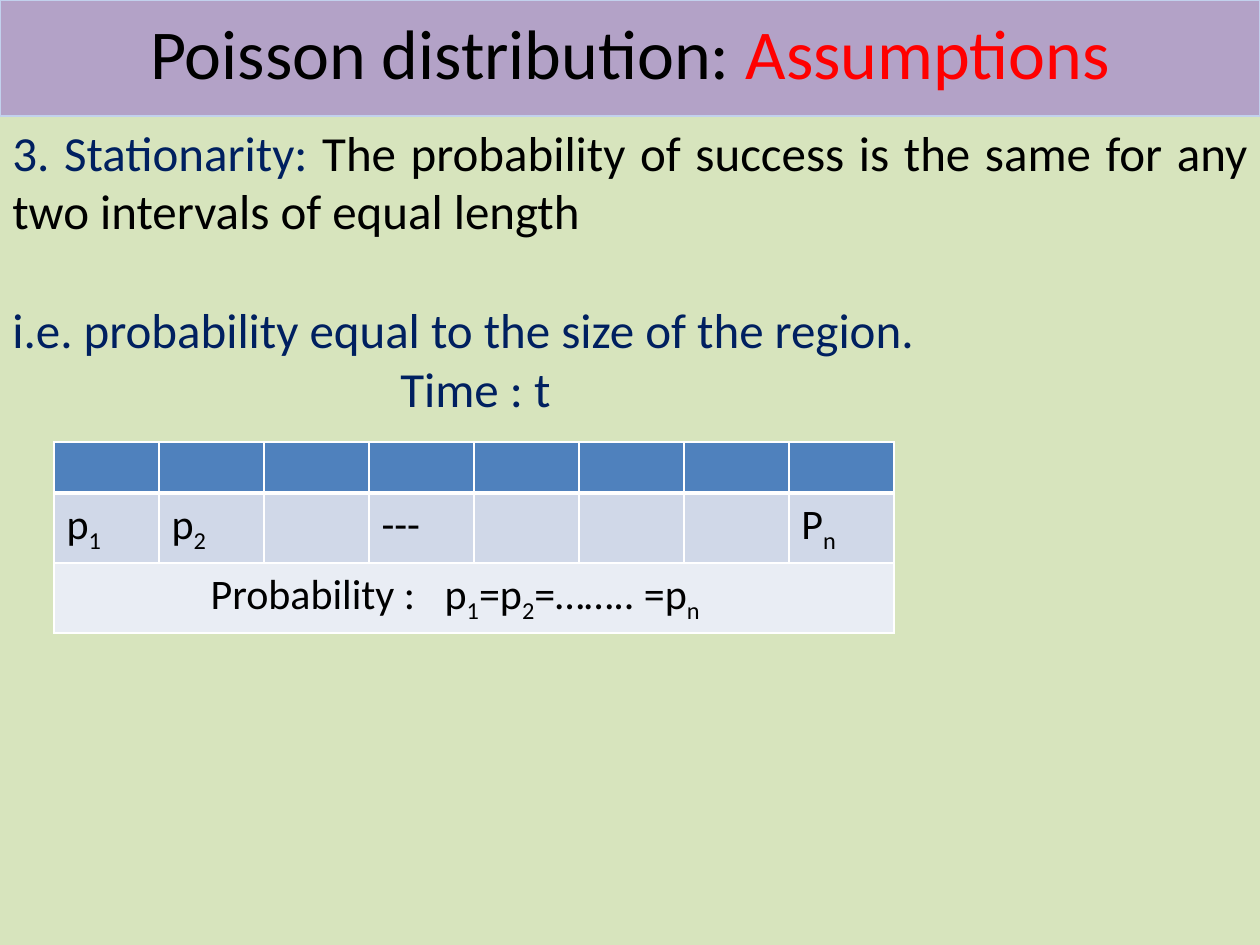
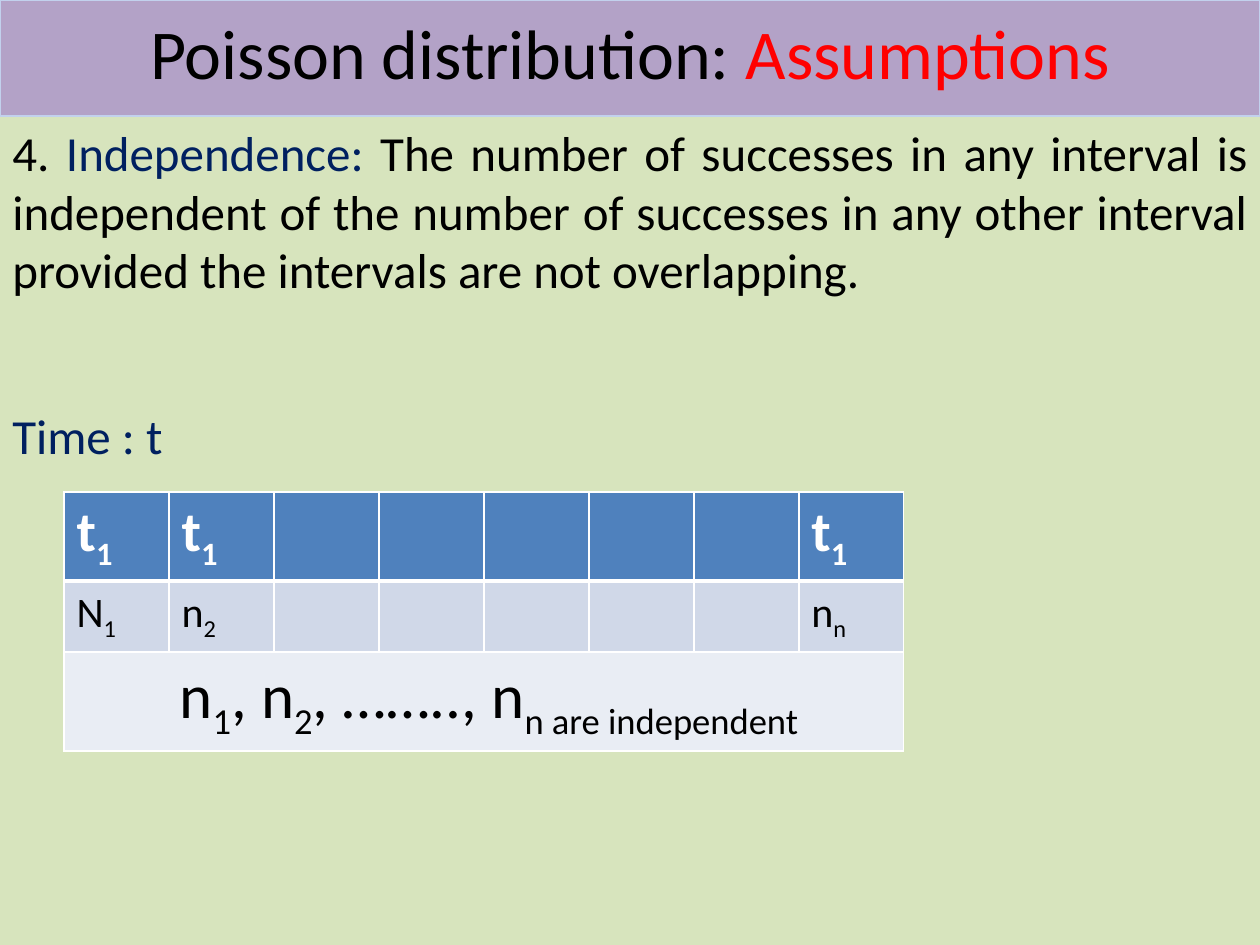
from lxml import etree
from pptx import Presentation
from pptx.dml.color import RGBColor
from pptx.enum.text import MSO_ANCHOR, MSO_AUTO_SIZE, PP_ALIGN
from pptx.oxml.ns import qn
from pptx.util import Emu, Pt

LEFT, CENTER, JUSTIFY = PP_ALIGN.LEFT, PP_ALIGN.CENTER, PP_ALIGN.JUSTIFY
MIDDLE, NO_AUTOFIT = MSO_ANCHOR.MIDDLE, MSO_AUTO_SIZE.NONE

FONT = "Calibri"
COLORS = {
    "page": "D7E4BD", "band": "B3A2C7", "band_line": "C2D1ED",
    "black": "000000", "red": "FF0000", "navy": "002060", "white": "FFFFFF",
    "header": "4F81BD", "values": "D0D8E8", "summary": "E9EDF4",
}
SLIDE_W, SLIDE_H, BAND_H = 1260, 945, 116
COLUMN_W, COLUMN_COUNT = 105, 8
BODY_SIZE, TITLE_SIZE, VALUE_SIZE = 28, 40, 24

TITLE = [("Poisson distribution:", "black"), (" Assumptions", "red")]

# Cell and summary texts alternate between base and subscript pieces.
SLIDES = [
    {
        "body_height": 577,
        "paragraphs": [
            {"runs": [("3. Stationarity: ", "navy"),
                      ("The probability of success is the same for any "
                       "two intervals of equal length", "black")]},
            {"runs": [("i.e. probability equal to the size of the region.", "navy")],
             "before": 34},
            {"runs": [("Time : t", "navy")], "margin": 388},
        ],
        "table_at": (54, 442),
        "row_heights": (51, 70, 70),
        "header": {},
        "values": {0: ["p", "1"], 1: ["p", "2"], 3: ["---"], 7: ["P", "n"]},
        "summary": {"pieces": ["Probability :\tp", "1", "=p", "2", "=…….. =p", "n"],
                    "size": 24, "align": LEFT, "indent": 144, "tab": 425},
    },
    {
        "body_height": 726,
        "paragraphs": [
            {"runs": [("4. ", "black"), ("Independence: ", "navy"),
                      ("The number of successes in any interval is independent of "
                       "the number of successes in any other interval provided the "
                       "intervals are not overlapping.", "black")]},
            {"runs": [("Time : t", "navy")], "before": 61},
        ],
        "table_at": (64, 492),
        "row_heights": (88, 71, 99),
        "header": {0: ["t", "1"], 1: ["t", "1"], 7: ["t", "1"]},
        "values": {0: ["N", "1"], 1: ["n", "2"], 7: ["n", "n"]},
        "summary": {"pieces": ["n", "1", ", n", "2", ", …….., n", "n are independent"],
                    "size": 36, "align": CENTER, "indent": 10, "tab": None},
    },
]


def px(length):
    return Emu(round(length * 914400 / 126))


def rgb(name):
    return RGBColor.from_string(COLORS[name])


def add_run(paragraph, text, size, color, bold=False):
    run = paragraph.add_run()
    run.text = text
    font = run.font
    font.name, font.size, font.bold = FONT, Pt(size), bold
    font.color.rgb = rgb(color)
    return run


def add_pieces(paragraph, pieces, size, color, bold=False):
    """Write pieces in turn, every second one as a subscript."""
    for index, piece in enumerate(pieces):
        run = add_run(paragraph, piece, size, color, bold)
        if index % 2:
            run._r.get_or_add_rPr().set("baseline", "-25000")


def set_indent(paragraph, margin=0, first_line=0, tab=None):
    properties = paragraph._p.get_or_add_pPr()
    properties.set("marL", str(px(margin)))
    properties.set("indent", str(px(first_line)))
    if tab:
        tab_list = etree.SubElement(properties, qn("a:tabLst"))
        etree.SubElement(tab_list, qn("a:tab"), pos=str(px(tab)), algn="l")


def format_cell(cell, row, fill):
    """Give white borders, thick between header and values, and a fill."""
    properties = cell._tc.get_or_add_tcPr()
    thick_side = {0: "lnB", 1: "lnT"}.get(row)
    for side in ("lnL", "lnR", "lnT", "lnB"):
        width = Pt(3 if side == thick_side else 1)
        line = etree.SubElement(properties, qn("a:" + side), w=str(width))
        solid = etree.SubElement(line, qn("a:solidFill"))
        etree.SubElement(solid, qn("a:srgbClr"), val=COLORS["white"])
    cell.fill.solid()
    cell.fill.fore_color.rgb = rgb(fill)


def add_title(slide):
    band = slide.shapes.title
    band.left, band.top, band.width, band.height = 0, 0, px(SLIDE_W), px(BAND_H)
    band.fill.solid()
    band.fill.fore_color.rgb = rgb("band")
    band.line.color.rgb = rgb("band_line")
    band.line.width = Pt(0.75)
    frame = band.text_frame
    frame.auto_size = NO_AUTOFIT
    frame.vertical_anchor = MIDDLE
    frame.margin_top, frame.margin_bottom = px(6), px(18)
    paragraph = frame.paragraphs[0]
    paragraph.alignment = CENTER
    for text, color in TITLE:
        add_run(paragraph, text, TITLE_SIZE, color)


def add_body(slide, content):
    body = slide.shapes.add_textbox(0, px(BAND_H), px(SLIDE_W), px(content["body_height"]))
    frame = body.text_frame
    frame.word_wrap = True
    for index, item in enumerate(content["paragraphs"]):
        paragraph = frame.add_paragraph() if index else frame.paragraphs[0]
        paragraph.alignment = JUSTIFY
        paragraph.space_before = Pt(item.get("before", 0))
        set_indent(paragraph, margin=item.get("margin", 0))
        for text, color in item["runs"]:
            add_run(paragraph, text, BODY_SIZE, color)


def add_interval_table(slide, content):
    left, top = content["table_at"]
    heights = content["row_heights"]
    table = slide.shapes.add_table(
        len(heights), COLUMN_COUNT, px(left), px(top),
        px(COLUMN_W * COLUMN_COUNT), px(sum(heights))).table
    for column in table.columns:
        column.width = px(COLUMN_W)
    for row, (height, fill) in enumerate(zip(heights, ("header", "values", "summary"))):
        table.rows[row].height = px(height)
        for column in range(COLUMN_COUNT):
            format_cell(table.cell(row, column), row, fill)

    for column, pieces in content["header"].items():
        add_pieces(table.cell(0, column).text_frame.paragraphs[0], pieces, 32, "white", True)
    for column, pieces in content["values"].items():
        add_pieces(table.cell(1, column).text_frame.paragraphs[0], pieces, VALUE_SIZE, "black")

    summary = content["summary"]
    summary_cell = table.cell(2, 0)
    summary_cell.merge(table.cell(2, COLUMN_COUNT - 1))
    paragraph = summary_cell.text_frame.paragraphs[0]
    paragraph.alignment = summary["align"]
    set_indent(paragraph, first_line=summary["indent"], tab=summary["tab"])
    add_pieces(paragraph, summary["pieces"], summary["size"], "black")


def main():
    deck = Presentation()
    deck.slide_width, deck.slide_height = px(SLIDE_W), px(SLIDE_H)
    background = deck.slide_master.background.fill
    background.solid()
    background.fore_color.rgb = rgb("page")
    title_only = deck.slide_layouts.get_by_name("Title Only")
    for content in SLIDES:
        slide = deck.slides.add_slide(title_only)
        add_title(slide)
        add_body(slide, content)
        add_interval_table(slide, content)
    deck.save("out.pptx")


if __name__ == "__main__":
    main()
